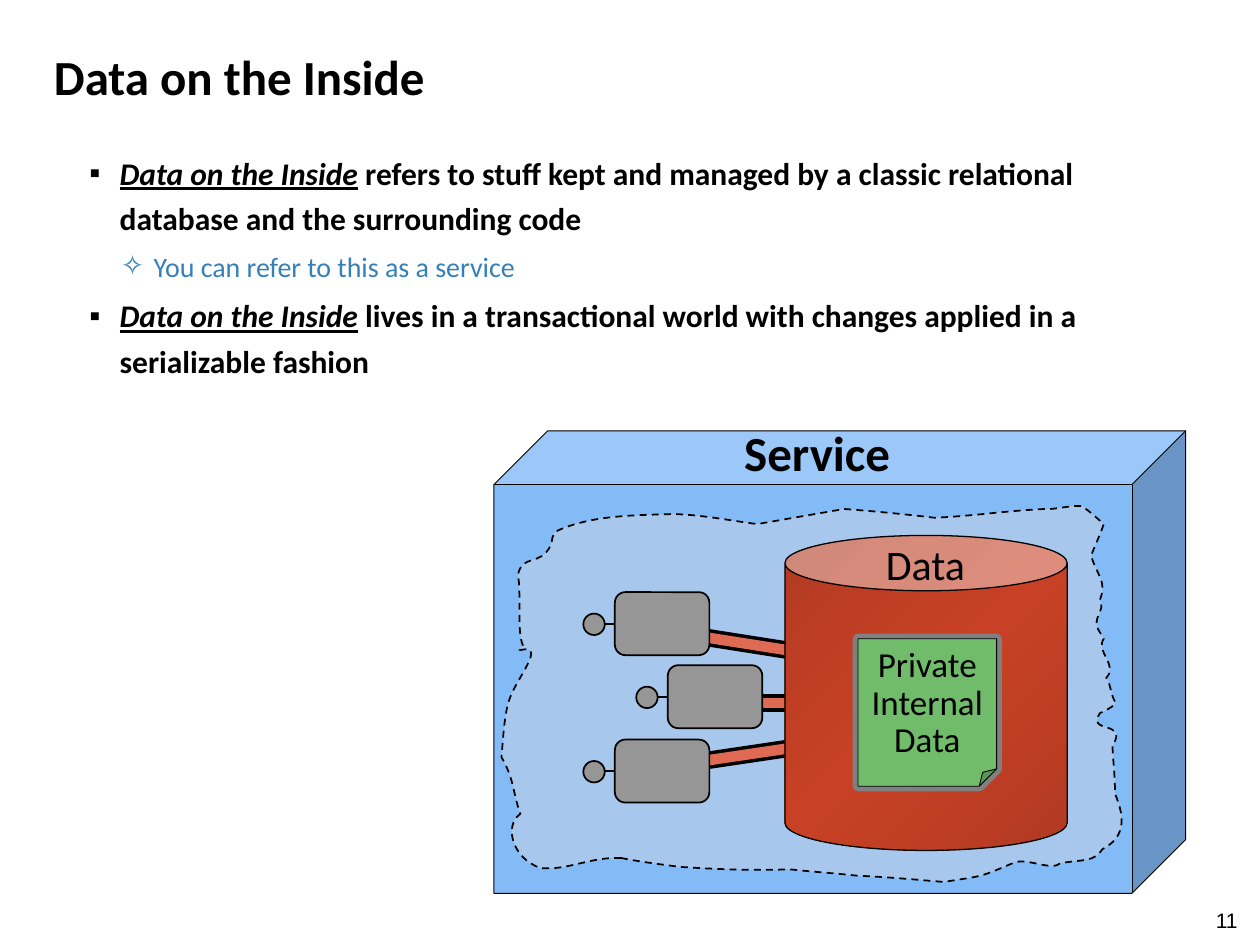
from copy import deepcopy
from dataclasses import dataclass

from lxml.etree import SubElement
from pptx import Presentation
from pptx.dml.color import RGBColor
from pptx.enum.dml import MSO_LINE
from pptx.enum.shapes import MSO_CONNECTOR, MSO_SHAPE
from pptx.enum.text import MSO_ANCHOR, PP_ALIGN
from pptx.oxml.ns import qn
from pptx.util import Inches, Pt


@dataclass(frozen=True)
class Theme:
    face: str = "Calibri"
    plain: str = "Arial"
    ink: str = "000000"
    note: str = "3580B8"
    box: str = "83BBF7"
    cloud: str = "DDDDDD"
    pipe: str = "DF6A53"
    unit: str = "969696"
    store: tuple = ("B23A22", "C84126", "B23A22")
    halo: tuple = ("B182FF", "8A65C6", "B182FF")
    rim: str = "808080"
    leaf: str = "70BC6B"
    head: int = 28
    data: int = 24
    leaf_size: int = 20
    main: int = 18
    sub: int = 16
    page: int = 12


THEME = Theme()

CLOUD = [
    (4.93, 6.81), (4.68, 6.8), (4.51, 6.91), (4.29, 6.89),
    (4.06, 6.81), (4, 6.55), (4.13, 6.46), (4.07, 6.29), (4.08, 6.18), (3.98, 6.01),
    (3.99, 5.91), (4, 5.68), (4.04, 5.56), (4.08, 5.44), (4.17, 5.33), (4.21, 5.22),
    (4.25, 5.08), (4.05, 5.22), (4.15, 5.12), (4.1, 5.02), (4.14, 4.67), (4.11, 4.57),
    (4.14, 4.39), (4.29, 4.5), (4.37, 4.33), (4.39, 4.29), (4.37, 4.24), (4.43, 4.21),
    (4.7, 4.09), (5.02, 4.09), (5.35, 4.08), (5.6, 4.09), (5.78, 4.13), (6.01, 4.16),
    (6.24, 4.12), (6.47, 4.08), (6.7, 4.04), (6.96, 4.06), (7.17, 4.08), (7.42, 4.11),
    (7.79, 4.09), (7.92, 4.06), (8.29, 4.04), (8.35, 4.05), (8.55, 4), (8.59, 4.02),
    (8.64, 4.05), (8.76, 4.16), (8.76, 4.16), (8.73, 4.25), (8.69, 4.33), (8.66, 4.41),
    (8.7, 4.56), (8.79, 4.61), (8.73, 4.76), (8.78, 4.86), (8.65, 4.9), (8.73, 5.02),
    (8.74, 5.03), (8.76, 5.07), (8.76, 5.07), (8.69, 5.17), (8.88, 5.28), (8.78, 5.38),
    (8.82, 5.44), (8.81, 5.5), (8.85, 5.57), (8.87, 5.6), (8.73, 5.66), (8.73, 5.66),
    (8.62, 5.83), (8.96, 5.71), (8.83, 5.92), (8.83, 5.99), (8.85, 6.16), (8.85, 6.3),
    (8.91, 6.45), (8.96, 6.63), (8.75, 6.74), (8.68, 6.84), (8.62, 6.82), (8.42, 6.85),
    (8.34, 6.92), (8.15, 6.8), (8.04, 6.85), (7.76, 6.97), (7.8, 6.95), (7.49, 7),
    (7.25, 6.98), (7.03, 6.96), (6.8, 6.95), (6.62, 6.93), (6.45, 6.92), (6.27, 6.9),
    (5.96, 6.91), (5.7, 6.9), (5.39, 6.88), (5.24, 6.86), (5.08, 6.84), (4.93, 6.81),
]
PIPES = [
    ((5.23, 5), (6.31, 5.17)),
    ((5.31, 6.08), (6.39, 5.92)),
    ((5.39, 5.58), (6.48, 5.58)),
]
UNITS = [(5.05, 5.28), (4.63, 5.87), (4.63, 4.7)]


def apply(target, form):
    for name, value in form.items():
        setattr(target, name, value)


def style(run, size, color=THEME.ink, **form):
    apply(run.font, {"name": THEME.face, "size": Pt(size), **form})
    run.font.color.rgb = RGBColor.from_string(color)


def stroke(line, color, width):
    line.color.rgb = RGBColor.from_string(color)
    line.width = Pt(width)


def paint(shape, fill, width, color=THEME.ink):
    shape.shadow.inherit = False
    stroke(shape.line, color, width)
    if isinstance(fill, str):
        shape.fill.solid()
        shape.fill.fore_color.rgb = RGBColor.from_string(fill)
        return
    shape.fill.gradient()
    shape.fill.gradient_angle = 315
    first = shape._element.spPr.find(".//" + qn("a:gs"))
    first.getparent().append(deepcopy(first))
    for place, (stop, tone) in enumerate(zip(shape.fill.gradient_stops, fill)):
        stop.position = place / 2
        stop.color.rgb = RGBColor.from_string(tone)


def adjust(shape, bend):
    guides = shape._element.spPr.find(".//" + qn("a:avLst"))
    for guide in list(guides):
        guides.remove(guide)
    SubElement(guides, qn("a:gd"), name="adj", fmla=f"val {round(bend * 100000)}")


def solid(shapes, kind, box, fill, width, color=THEME.ink, bend=None):
    shape = shapes.add_shape(kind, *map(Inches, box))
    if bend is not None:
        adjust(shape, bend)
    paint(shape, fill, width, color)
    return shape


def link(shapes, start, end, color, width):
    line = shapes.add_connector(MSO_CONNECTOR.STRAIGHT, *map(Inches, start + end))
    stroke(line.line, color, width)
    SubElement(line._element.spPr, qn("a:effectLst"))


def write(shape, text, size, align=PP_ALIGN.CENTER, wrap=False, space=1.0, **form):
    frame = shape.text_frame
    apply(frame, {"word_wrap": wrap, "vertical_anchor": MSO_ANCHOR.MIDDLE})
    para = frame.paragraphs[0]
    para.text = text
    apply(para, {"alignment": align, "line_spacing": space})
    for run in para.runs:
        style(run, size, **form)


def label(shapes, box, text, size, **form):
    write(shapes.add_textbox(*map(Inches, box)), text, size, **form)


def point(para, mark, left, hang, size, parts):
    apply(para, {"line_spacing": 1.2, "space_before": Pt(size / 5)})
    props = para._p.get_or_add_pPr()
    props.set("marL", str(Inches(left)))
    props.set("indent", str(-Inches(hang)))
    SubElement(props, qn("a:buFont")).set("typeface", THEME.plain)
    SubElement(props, qn("a:buChar")).set("char", mark)
    for text, form in parts:
        run = para.add_run()
        run.text = text
        style(run, size, **form)


def body(shapes):
    frame = shapes.add_textbox(*map(Inches, (0.56, 1.08, 8.94, 6))).text_frame
    side, edge = Inches(0.15), Inches(0.08)
    apply(frame, {"word_wrap": True, "margin_left": side, "margin_right": side,
                  "margin_top": edge, "margin_bottom": edge})
    term = ("Data on the Inside", {"bold": True, "italic": True, "underline": True})
    bold = {"bold": True}
    top = ("▪", 0.24, 0.24, THEME.main)
    sub = ("✧", 0.51, 0.26, THEME.sub)
    rows = [
        (*top, [term, (" refers to stuff kept and managed by a classic relational "
                       "database and the surrounding code", bold)]),
        (*sub, [("You can refer to this as a service", {"color": THEME.note})]),
        (*top, [term, (" lives in a transactional world with changes applied in a "
                       "serializable fashion", bold)]),
    ]
    for place, row in enumerate(rows):
        para = frame.add_paragraph() if place else frame.paragraphs[0]
        para.level = int(row[0] == "✧")
        point(para, *row)


def cloud(shapes):
    spots = [tuple(map(Inches, spot)) for spot in CLOUD]
    form = shapes.build_freeform(*spots[0])
    form.add_line_segments(spots[1:], close=True)
    shape = form.convert_to_shape()
    paint(shape, THEME.cloud, 1)
    shape.line.dash_style = MSO_LINE.DASH
    tree = shape._element.spPr
    tint = tree.find(qn("a:solidFill")).find(qn("a:srgbClr"))
    SubElement(tint, qn("a:alpha")).set("val", "40000")
    legs = tree.findall(".//" + qn("a:lnTo"))
    for trio in zip(legs[::3], legs[1::3], legs[2::3]):
        curve = trio[0].makeelement(qn("a:cubicBezTo"))
        trio[0].addprevious(curve)
        for leg in trio:
            curve.append(leg[0])
            leg.getparent().remove(leg)


def unit(shapes, left, top):
    mid = top + 0.25
    link(shapes, (left, mid), (left + 0.33, mid), THEME.ink, 1)
    solid(shapes, MSO_SHAPE.ROUNDED_RECTANGLE, (left + 0.25, top, 0.75, 0.5), THEME.unit, 1)
    solid(shapes, MSO_SHAPE.OVAL, (left, top + 0.17, 0.17, 0.17), THEME.unit, 1)


def service(shapes):
    solid(shapes, MSO_SHAPE.CUBE, (3.92, 3.42, 5.49, 3.67), THEME.box, 0.5, bend=0.116)
    cloud(shapes)
    for color, width in ((THEME.ink, 10), (THEME.pipe, 6)):
        for start, end in PIPES:
            link(shapes, start, end, color, width)
    for spot in UNITS:
        unit(shapes, *spot)
    solid(shapes, MSO_SHAPE.CAN, (6.23, 4.25, 2.24, 2.5), THEME.store, 0.75, bend=0.196)
    sheet = (MSO_SHAPE.FOLDED_CORNER, (6.81, 5.07, 1.1, 1.17))
    solid(shapes, *sheet, THEME.halo, 6, THEME.rim, bend=0.125)
    leaf = solid(shapes, *sheet, THEME.leaf, 0.5, bend=0.125)
    write(leaf, "Private\vInternal\vData", THEME.leaf_size, space=0.9)
    label(shapes, (6.81, 4.33, 1.07, 0.29), "Data", THEME.data)
    label(shapes, (5.49, 3.42, 1.99, 0.33), "Service", THEME.head, bold=True)


def main():
    deck = Presentation()
    apply(deck, {"slide_width": Inches(10), "slide_height": Inches(7.5)})
    shapes = deck.slides.add_slide(deck.slide_layouts[6]).shapes
    label(shapes, (0.33, 0.17, 9, 0.87), "Data on the Inside", THEME.head,
          align=PP_ALIGN.LEFT, wrap=True, bold=True)
    body(shapes)
    label(shapes, (8.75, 7.1, 1.17, 0.4), "11", THEME.page,
          align=PP_ALIGN.RIGHT, wrap=True, name=THEME.plain)
    service(shapes)
    deck.save("out.pptx")


if __name__ == "__main__":
    main()
